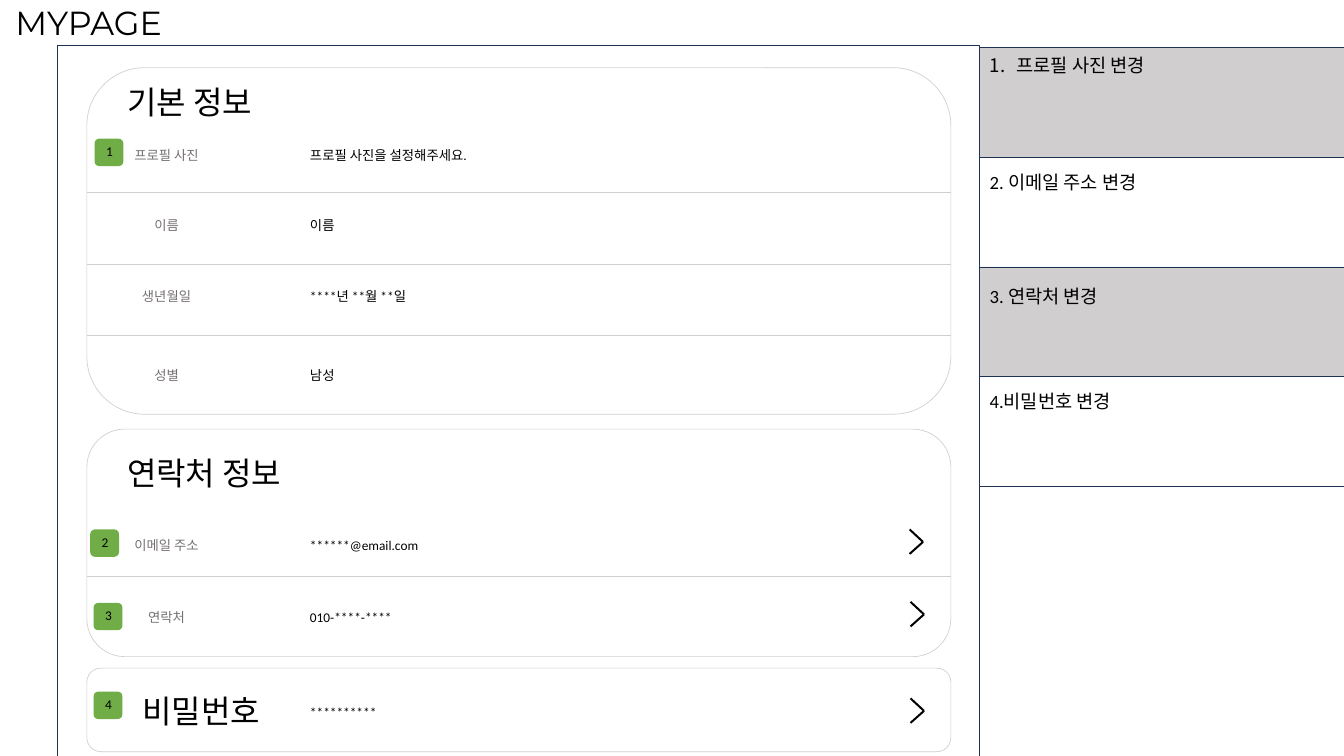
import pptx
import pptx.util
import pptx.dml.color
import pptx.enum.shapes
import pptx.enum.text
import pptx.oxml.ns
from lxml import etree

Inches = pptx.util.Inches
Pt = pptx.util.Pt
KIND = pptx.enum.shapes.MSO_SHAPE
ALIGN = pptx.enum.text.PP_ALIGN
COLORS = {"ink": "000000", "label": "767171", "navy": "1E3256",
          "gray": "D0CECE", "green": "70AD47"}
LEFT, WIDE = 1.81, 18
SIDE, NOTE_W, NOTE_H = 20.41, 7.59, 2.29


def rgb(name):
    return pptx.dml.color.RGBColor.from_string(COLORS[name])


def add_box(slide, kind, at, fill=None, line=None):
    box = slide.shapes.add_shape(kind, *map(Inches, at))
    box.shadow.inherit = False
    if fill:
        box.fill.solid()
        box.fill.fore_color.rgb = rgb(fill)
    else:
        box.fill.background()
    if line:
        box.line.color.rgb = rgb(line)
        box.line.width = Pt(1)
    else:
        box.line.fill.background()


def add_line(slide, start, end, color, width):
    line = slide.shapes.add_connector(
        pptx.enum.shapes.MSO_CONNECTOR.STRAIGHT,
        *map(Inches, (*start, *end)))
    line.line.color.rgb = rgb(color)
    line.line.width = Pt(width)
    etree.SubElement(line._element.spPr, pptx.oxml.ns.qn("a:effectLst"))


def add_text(slide, text, at, size, color="ink", align=ALIGN.LEFT,
             font="Calibri", wrap=True, number=False):
    box = slide.shapes.add_textbox(*map(Inches, at))
    frame = box.text_frame
    frame.word_wrap = wrap
    frame.auto_size = pptx.enum.text.MSO_AUTO_SIZE.SHAPE_TO_FIT_TEXT
    para = frame.paragraphs[0]
    para.alignment = align
    if number:
        props = para._p.get_or_add_pPr()
        props.set("marL", str(Inches(0.56)))
        props.set("indent", str(Inches(-0.56)))
        mark = etree.SubElement(props, pptx.oxml.ns.qn("a:buAutoNum"))
        mark.set("type", "arabicPeriod")
    run = para.add_run()
    run.text = text
    run.font.size = Pt(size)
    run.font.name = font
    run.font.color.rgb = rgb(color)


def add_panel(slide, top, height, rules=()):
    """Rounded panel with row rules across it."""
    add_box(slide, KIND.ROUNDED_RECTANGLE, (LEFT, top, WIDE, height),
            line="gray")
    for y in rules:
        add_line(slide, (LEFT, y), (LEFT + WIDE, y), "gray", 0.5)


def add_field(slide, top, label, value, width):
    add_text(slide, label, (2.55, top, 1.84, 0.44), 20, "label", ALIGN.CENTER)
    add_text(slide, value, (6.36, top, width, 0.44), 20)


def add_arrow(slide, left, top):
    """Chevron pointing right."""
    tip = (left + 0.28, top + 0.26)
    for y in (top, top + 0.51):
        add_line(slide, (left, y), tip, "ink", 3)


def add_badge(slide, number, left, top):
    add_box(slide, KIND.ROUNDED_RECTANGLE, (left, top, 0.6, 0.57), "green")
    add_text(slide, number, (left + 0.14, top + 0.05, 0.34, 0.44), 20,
             align=ALIGN.CENTER, wrap=False)


def add_note(slide, index, text, top):
    add_box(slide, KIND.RECTANGLE,
            (SIDE, 0.98 + index * NOTE_H, NOTE_W, NOTE_H),
            None if index % 2 else "gray", "navy")
    add_text(slide, text, (20.52, top, 3.53, 0.57), 28, number=index == 0)


def main():
    deck = pptx.Presentation()
    deck.slide_width, deck.slide_height = Inches(28), Inches(15.75)
    slide = deck.slides.add_slide(deck.slide_layouts[6])

    add_text(slide, "MYPAGE", (0.22, 0, 7.51, 0.94), 50, font="Montserrat")
    add_box(slide, KIND.RECTANGLE, (1.2, 0.94, 19.21, 14.81), line="navy")

    add_panel(slide, 1.41, 7.22, (4, 5.51, 6.98))
    add_panel(slide, 8.94, 4.74, (12,))
    add_panel(slide, 13.92, 1.74)

    add_text(slide, "기본 정보", (2.55, 1.68, 3.1, 0.91), 48)
    add_text(slide, "연락처 정보", (2.55, 9.4, 3.81, 0.91), 48)
    add_text(slide, "비밀번호", (2.29, 14.35, 3.81, 0.91), 48,
             align=ALIGN.CENTER)

    for field in (
        (3.01, "프로필 사진", "프로필 사진을 설정해주세요.", 4.07),
        (4.48, "이름", "이름", 1.84),
        (5.95, "생년월일", "****년 **월 **일", 2.38),
        (7.59, "성별", "남성", 1.84),
        (11.14, "이메일 주소", "******@email.com", 4.07),
        (12.64, "연락처", "010-****-****", 4.07),
    ):
        add_field(slide, *field)
    add_text(slide, "**********", (6.36, 14.63, 1.64, 0.44), 20)

    for spot in ((18.95, 11.03), (18.97, 12.54), (18.97, 14.55)):
        add_arrow(slide, *spot)
    for badge in (("1", 1.97, 2.89), ("2", 1.88, 11.03),
                  ("3", 1.95, 12.56), ("4", 1.95, 14.41)):
        add_badge(slide, *badge)

    notes = (("프로필 사진 변경", 1.08), ("2. 이메일 주소 변경", 3.5),
             ("3. 연락처 변경", 5.88), ("4.비밀번호 변경", 8.08))
    for index, (text, top) in enumerate(notes):
        add_note(slide, index, text, top)

    deck.save("out.pptx")


if __name__ == "__main__":
    main()
